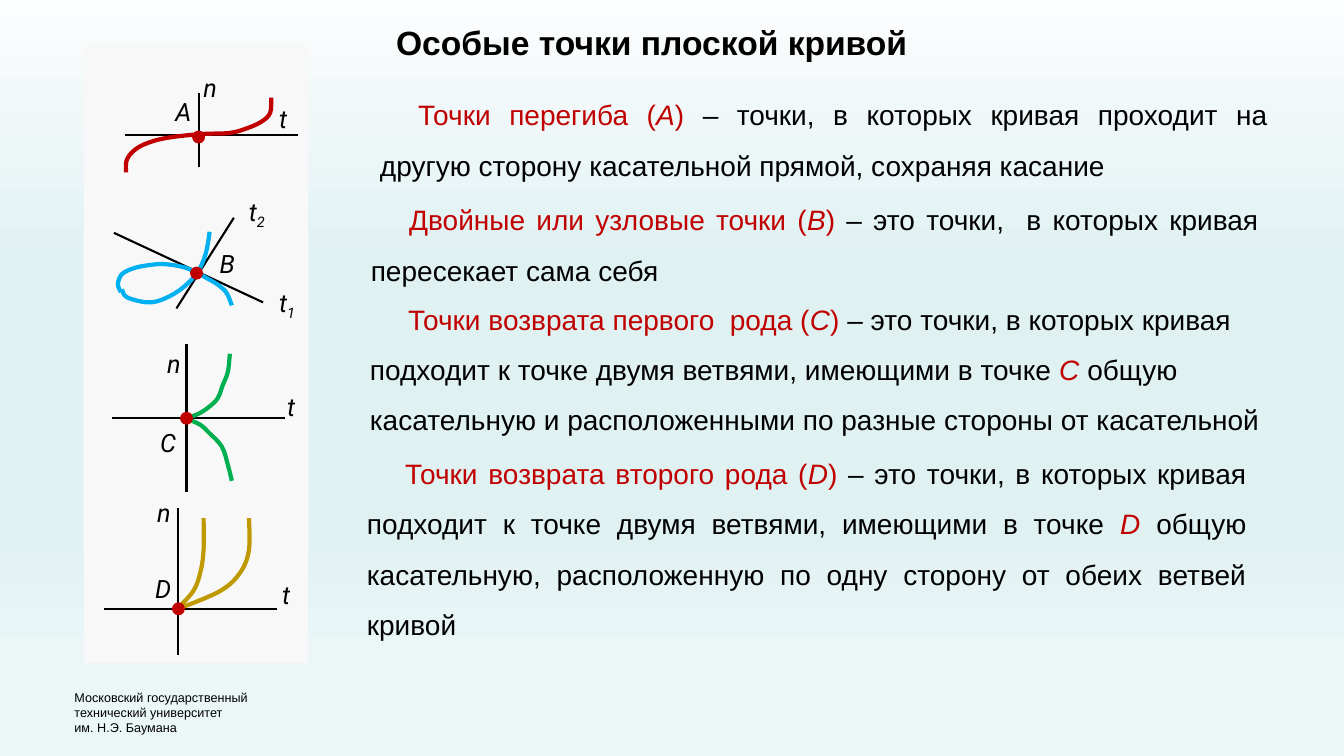
from lxml import etree
from pptx import Presentation
from pptx import util as u
from pptx.dml.color import RGBColor
from pptx.enum import shapes, text
from pptx.oxml.ns import qn

COLORS = {
    "black": "000000", "red": "C00000", "blue": "00B0F0", "green": "00B050",
    "gold": "BF9900", "panel": "F8F8F8",
    "sky": "FCFDFE", "mint": "E0F1F2", "pale": "EBF6F7",
}
BACKGROUND = [(0, "sky"), (35, "mint"), (69, "mint"), (88, "pale"), (100, "pale")]

RUN_STYLES = [("red", False), ("red", True), ("red", False),
              ("black", False), ("red", True), ("black", False)]
JUSTIFY, LEFT = text.PP_ALIGN.JUSTIFY, text.PP_ALIGN.LEFT
DEFINITIONS = [
    ((3.67, 0.75, 9, 1.11), JUSTIFY, [
        "Точки перегиба (", "A", ") ",
        "– точки, в которых кривая проходит на другую сторону "
        "касательной прямой, сохраняя касание"]),
    ((3.58, 1.79, 9, 1.11), JUSTIFY, [
        "Двойные или узловые точки (", "B", ") ",
        "– это точки,  в которых кривая пересекает сама себя"]),
    ((3.57, 2.77, 9.29, 1.62), LEFT, [
        "Точки возврата первого  рода (", "C", ") ",
        "– это точки, в которых кривая подходит к точке двумя ветвями, "
        "имеющими в точке ", "C",
        " общую касательную и расположенными по разные стороны от касательной"]),
    ((3.54, 4.3, 8.92, 2.12), JUSTIFY, [
        "Точки возврата второго рода (", "D", ")",
        " – это точки, в которых кривая подходит к точке двумя ветвями, "
        "имеющими в точке ", "D ",
        "общую касательную, расположенную по одну сторону от обеих ветвей кривой"]),
]

AXES = [
    (2.96, 1.34, 1.24, 1.34), (1.97, 1.66, 1.97, 0.92),
    (2.32, 2.16, 1.75, 3.06), (2.61, 3, 1.13, 2.31),
    (2.83, 4.15, 1.11, 4.15), (1.85, 3.41, 1.85, 4.88),
    (2.75, 6.04, 1.03, 6.04), (1.77, 5.04, 1.77, 6.5),
]
CURVES = [
    ("red", [(1.25, 1.71), (1.26, 1.58), (1.36, 1.47), (1.52, 1.4), (1.71, 1.36),
             (2, 1.33), (2.27, 1.32), (2.43, 1.28), (2.59, 1.21), (2.68, 1.12),
             (2.69, 0.97)]),
    ("blue", [(2.08, 2.3), (2.04, 2.52), (1.96, 2.7), (1.82, 2.85), (1.64, 2.96),
              (1.47, 3), (1.26, 2.95), (1.21, 2.87)]),
    ("blue", [(2.3, 3.03), (2.25, 2.91), (2.17, 2.83), (2.07, 2.77), (1.94, 2.7),
              (1.82, 2.65), (1.63, 2.62), (1.48, 2.63), (1.33, 2.66), (1.21, 2.72),
              (1.17, 2.82), (1.2, 2.9)]),
    ("green", [(2.28, 3.51), (2.26, 3.69), (2.21, 3.82), (2.16, 3.95), (2.07, 4.04),
               (1.96, 4.11), (1.84, 4.15)]),
    ("green", [(1.84, 4.15), (1.98, 4.21), (2.07, 4.29), (2.2, 4.43), (2.26, 4.61),
               (2.3, 4.77)]),
    ("gold", [(2.02, 5.14), (2.02, 5.45), (1.99, 5.67), (1.92, 5.86), (1.76, 6.04)]),
    ("gold", [(2.47, 5.14), (2.47, 5.45), (2.39, 5.67), (2.19, 5.86), (1.77, 6.04)]),
]
LABELS = [
    ("n", "", 1.92, 0.67, 0.33), ("A", "", 1.64, 0.91, 0.37), ("t", "", 2.67, 0.98, 0.31),
    ("t", "2", 2.37, 1.9, 0.46), ("B", "", 2.08, 2.41, 0.35), ("t", "1", 2.67, 2.8, 0.38),
    ("n", "", 1.56, 3.41, 0.33), ("C", "", 1.49, 4.19, 0.33), ("t", "", 2.75, 3.83, 0.31),
    ("n", "", 1.46, 4.88, 0.33), ("D", "", 1.44, 5.64, 0.35), ("t", "", 2.7, 5.7, 0.31),
]
POINTS = [(1.97, 1.36), (1.95, 2.71), (1.85, 4.15), (1.77, 6.04)]


def rgb(name):
    return RGBColor.from_string(COLORS[name])


class Board:
    font, label_font = "Arial", "Roboto"

    def __init__(self, slide):
        self.slide = slide

    def background(self, stops):
        fill = self.slide.background.fill
        fill.gradient()
        gradient = self.slide.background._cSld.find(".//" + qn("a:gradFill"))
        stop_list = gradient.find(qn("a:gsLst"))
        for stop in list(stop_list):
            stop_list.remove(stop)
        for percent, name in stops:
            stop = etree.SubElement(stop_list, qn("a:gs"), pos=str(percent * 1000))
            etree.SubElement(stop, qn("a:srgbClr"), val=COLORS[name])
        gradient.find(qn("a:lin")).set("ang", "5400000")

    def shape(self, kind, box, color, line_width=0):
        shape = self.slide.shapes.add_shape(kind, *map(u.Inches, box))
        shape.shadow.inherit = False
        shape.fill.solid()
        shape.fill.fore_color.rgb = rgb(color)
        if line_width:
            self.stroke(shape, color, line_width)
        else:
            shape.line.fill.background()

    def stroke(self, shape, color, width):
        shape.line.color.rgb = rgb(color)
        shape.line.width = u.Pt(width)

    def axis(self, ends):
        connector = self.slide.shapes.add_connector(
            shapes.MSO_CONNECTOR.STRAIGHT, *map(u.Inches, ends))
        self.stroke(connector, "black", 1.5)
        etree.SubElement(connector._element.spPr, qn("a:effectLst"))

    def curve(self, color, points):
        knots = [(u.Inches(x), u.Inches(y)) for x, y in points]
        builder = self.slide.shapes.build_freeform(*knots[0])
        builder.add_line_segments(knots[1:], close=False)
        shape = builder.convert_to_shape()
        shape.shadow.inherit = False
        shape.fill.background()
        self.stroke(shape, color, 3)
        self.smooth(shape, knots)

    def smooth(self, shape, knots):
        padded = [knots[0], *knots, knots[-1]]
        segments = shape._element.findall(".//" + qn("a:lnTo"))
        for index, segment in enumerate(segments):
            before, start, end, after = padded[index:index + 4]
            controls = [
                [s + (e - b) / 6 for b, s, e in zip(before, start, end)],
                [e - (a - s) / 6 for s, e, a in zip(start, end, after)],
                end,
            ]
            bezier = etree.Element(qn("a:cubicBezTo"))
            for x, y in controls:
                etree.SubElement(bezier, qn("a:pt"), x=str(round(x - shape.left)),
                                 y=str(round(y - shape.top)))
            segment.getparent().replace(segment, bezier)

    def text_box(self, box, wrap=False):
        frame = self.slide.shapes.add_textbox(*map(u.Inches, box)).text_frame
        frame.word_wrap = wrap
        frame.auto_size = text.MSO_AUTO_SIZE.SHAPE_TO_FIT_TEXT
        return frame

    def format(self, run, size, color="black", bold=False, italic=False, font=font):
        run.font.name, run.font.size = font, u.Pt(size)
        run.font.bold, run.font.italic = bold, italic
        run.font.color.rgb = rgb(color)

    def caption(self, content, box, size, bold=False):
        frame = self.text_box(box)
        frame.text = content
        for paragraph in frame.paragraphs:
            self.format(paragraph.runs[0], size, bold=bold)

    def label(self, letter, subscript, left, top, width):
        paragraph = self.text_box((left, top, width, 0.4), wrap=subscript == "2").paragraphs[0]
        paragraph.text = letter
        if subscript:
            run = paragraph.add_run()
            run.text = subscript
            run.font._element.set("baseline", "-25000")
        for run in paragraph.runs:
            self.format(run, 18, italic=True, font=self.label_font)

    def definition(self, box, alignment, pieces):
        frame = self.text_box(box, wrap=True)
        frame.vertical_anchor = text.MSO_ANCHOR.MIDDLE
        paragraph = frame.paragraphs[0]
        paragraph.alignment, paragraph.line_spacing = alignment, 1.5
        properties = paragraph._p.get_or_add_pPr()
        properties.set("marL", "0")
        properties.set("indent", str(u.Inches(0.38)))
        for piece, (color, italic) in zip(pieces, RUN_STYLES):
            run = paragraph.add_run()
            run.text = piece
            self.format(run, 20, color, italic=italic)


def main():
    presentation = Presentation()
    presentation.slide_width, presentation.slide_height = u.Inches(13.33), u.Inches(7.5)
    board = Board(presentation.slides.add_slide(presentation.slide_layouts[6]))
    board.background(BACKGROUND)
    board.shape(shapes.MSO_SHAPE.RECTANGLE, (0.83, 0.45, 2.23, 6.13), "panel")
    for definition in DEFINITIONS:
        board.definition(*definition)
    board.caption("Особые точки плоской кривой", (3.83, 0.17, 5.32, 0.51), 24, bold=True)
    for ends in AXES:
        board.axis(ends)
    for color, points in CURVES:
        board.curve(color, points)
    for label in LABELS:
        board.label(*label)
    for x, y in POINTS:
        board.shape(shapes.MSO_SHAPE.OVAL, (x - 0.05, y - 0.05, 0.1, 0.1), "red", 2)
    board.caption("Московский государственный\nтехнический университет\nим. Н.Э. Баумана",
                  (0.64, 6.79, 1.98, 0.55), 9)
    presentation.save("out.pptx")


if __name__ == "__main__":
    main()
